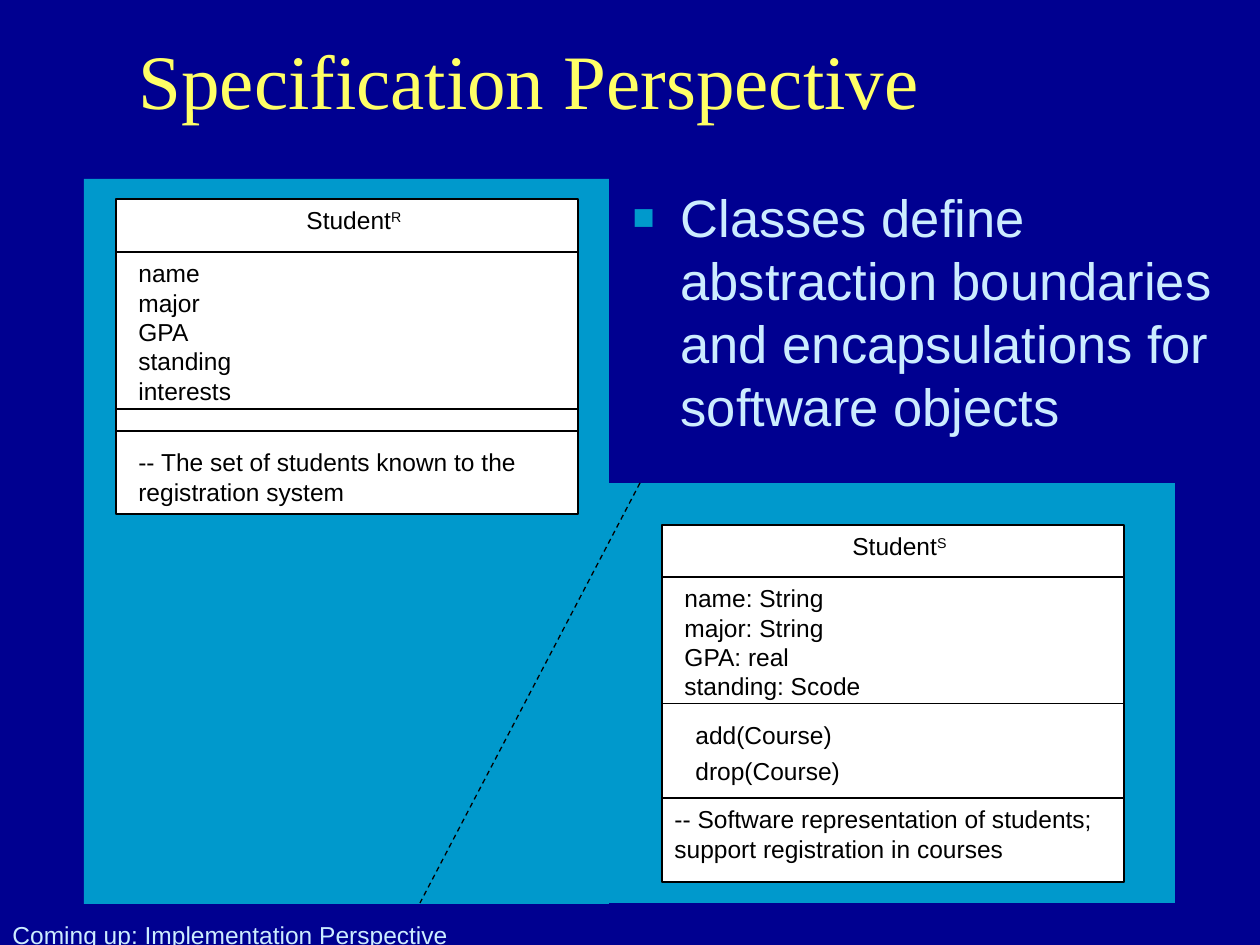
from lxml.etree import SubElement
from pptx import Presentation
from pptx.dml.color import RGBColor
from pptx.enum.dml import MSO_LINE
from pptx.enum.shapes import MSO_CONNECTOR, MSO_SHAPE
from pptx.enum.text import MSO_ANCHOR, MSO_AUTO_SIZE, PP_ALIGN
from pptx.oxml.ns import qn
from pptx.util import Pt

NAVY = RGBColor(0x00, 0x00, 0x90)
BLUE = RGBColor(0x00, 0x99, 0xCC)
YELLOW = RGBColor(0xFF, 0xFF, 0x66)
PALE = RGBColor(0xCC, 0xEC, 0xFF)
BLACK = RGBColor(0, 0, 0)
WHITE = RGBColor(0xFF, 0xFF, 0xFF)

TITLE = "Specification Perspective"
BODY = "Classes define abstraction boundaries and encapsulations for software objects"
FOOTER = "Coming up: Implementation Perspective"

# Boxes are left, top, width, height in px; sections are offsets inside the class box
PANELS = [(84, 179, 525, 725), (608, 483, 567, 420)]
BOUNDARY = (640, 483, 420, 903)
CLASSES = [
    {"sup": "S", "box": (662, 525, 462, 357), "rules": [52, 178, 273],
     "sections": [
         ((10, 52, 232, 131),
          ["name: String", "major: String", "GPA: real", "standing: Scode"], 0),
         ((21, 189, 195, 78), ["add(Course)", "drop(Course)"], 3.5),
         ((0, 273, 462, 72),
          ["-- Software representation of students; support registration in courses"], 0)]},
    {"sup": "R", "box": (116, 199, 462, 315), "rules": [53, 210, 232],
     "sections": [
         ((10, 53, 232, 160), ["name", "major", "GPA", "standing", "interests"], 0),
         ((10, 242, 441, 72),
          ["-- The set of students known to the registration system"], 0)]},
]


def px(n):
    return round(n * 914400 / 126)


def write(tf, lines, size=14, font="Arial", color=BLACK, sup="", before=0,
          anchor=MSO_ANCHOR.TOP, fit=MSO_AUTO_SIZE.NONE):
    tf.word_wrap = True
    tf.auto_size = fit
    tf.vertical_anchor = anchor
    for i, line in enumerate(lines):
        p = tf.paragraphs[0] if i == 0 else tf.add_paragraph()
        p.alignment = PP_ALIGN.LEFT
        p.space_before = Pt(before if i else 0)
        for text in filter(None, (line, sup)):
            r = p.add_run()
            r.text = text
            r.font.size = Pt(size)
            r.font.name = font
            r.font.color.rgb = color
        if sup:
            r._r.get_or_add_rPr().set("baseline", "30000")


def place(sp, box):
    sp.left, sp.top, sp.width, sp.height = map(px, box)


def add_text(shapes, box, lines, **fmt):
    write(shapes.add_textbox(*map(px, box)).text_frame, lines, **fmt)


def add_rect(shapes, box, fill, line=None):
    sp = shapes.add_shape(MSO_SHAPE.RECTANGLE, *map(px, box))
    sp.shadow.inherit = False
    sp.fill.solid()
    sp.fill.fore_color.rgb = fill
    if line is None:
        sp.line.fill.background()
    else:
        sp.line.color.rgb = line
        sp.line.width = Pt(0.75)
    return sp


def add_line(shapes, ends):
    ln = shapes.add_connector(MSO_CONNECTOR.STRAIGHT, *map(px, ends))
    ln.line.color.rgb = BLACK
    ln.line.width = Pt(0.75)
    SubElement(ln._element.spPr, qn("a:effectLst"))
    return ln


def add_class(s, sup, box, rules, sections):
    x, y, w, h = box
    shapes = s.shapes.add_group_shape().shapes
    frame = add_rect(shapes, box, WHITE, BLACK)
    add_text(shapes, (x + 178, y, 168, 43), ["Student"], sup=sup,
             fit=MSO_AUTO_SIZE.SHAPE_TO_FIT_TEXT)
    for dy in rules:
        ln = add_line(shapes, (x, y + dy, x + w, y + dy))
        if abs(2 * dy - h) <= 1:  # rule at mid-height
            ln.begin_connect(frame, 1)
            ln.end_connect(frame, 3)
    for (dx, dy, tw, th), lines, before in sections:
        add_text(shapes, (x + dx, y + dy, tw, th), lines, before=before,
                 fit=MSO_AUTO_SIZE.SHAPE_TO_FIT_TEXT)


def add_bullet(p):
    pPr = p._p.get_or_add_pPr()
    pPr.set("marL", str(px(48)))
    pPr.set("indent", str(-px(48)))
    clr = SubElement(pPr, qn("a:buClr"))
    SubElement(clr, qn("a:srgbClr"), val=str(BLUE))
    SubElement(pPr, qn("a:buSzPct"), val="70000")
    SubElement(pPr, qn("a:buFont"), typeface="Arial")
    SubElement(pPr, qn("a:buChar"), char="■")


prs = Presentation()
prs.slide_width, prs.slide_height = px(1260), px(945)
s = prs.slides.add_slide(prs.slide_layouts[1])
s.background.fill.solid()
s.background.fill.fore_color.rgb = NAVY

# Title, bulleted statement and footer
title, body = s.placeholders
place(title, (126, 0, 1089, 158))
write(title.text_frame, [TITLE], size=44, font="Times New Roman", color=YELLOW,
      anchor=MSO_ANCHOR.MIDDLE)
place(body, (620, 179, 640, 273))
write(body.text_frame, [BODY], size=30, color=PALE)
add_bullet(body.text_frame.paragraphs[0])
add_text(s.shapes, (0, 914, 662, 32), [FOOTER], color=PALE)

# Panels, class diagrams and the dashed boundary
for panel in PANELS:
    add_rect(s.shapes, panel, BLUE)
for cls in CLASSES:
    add_class(s, **cls)
add_line(s.shapes, BOUNDARY).line.dash_style = MSO_LINE.DASH

prs.save("out.pptx")
